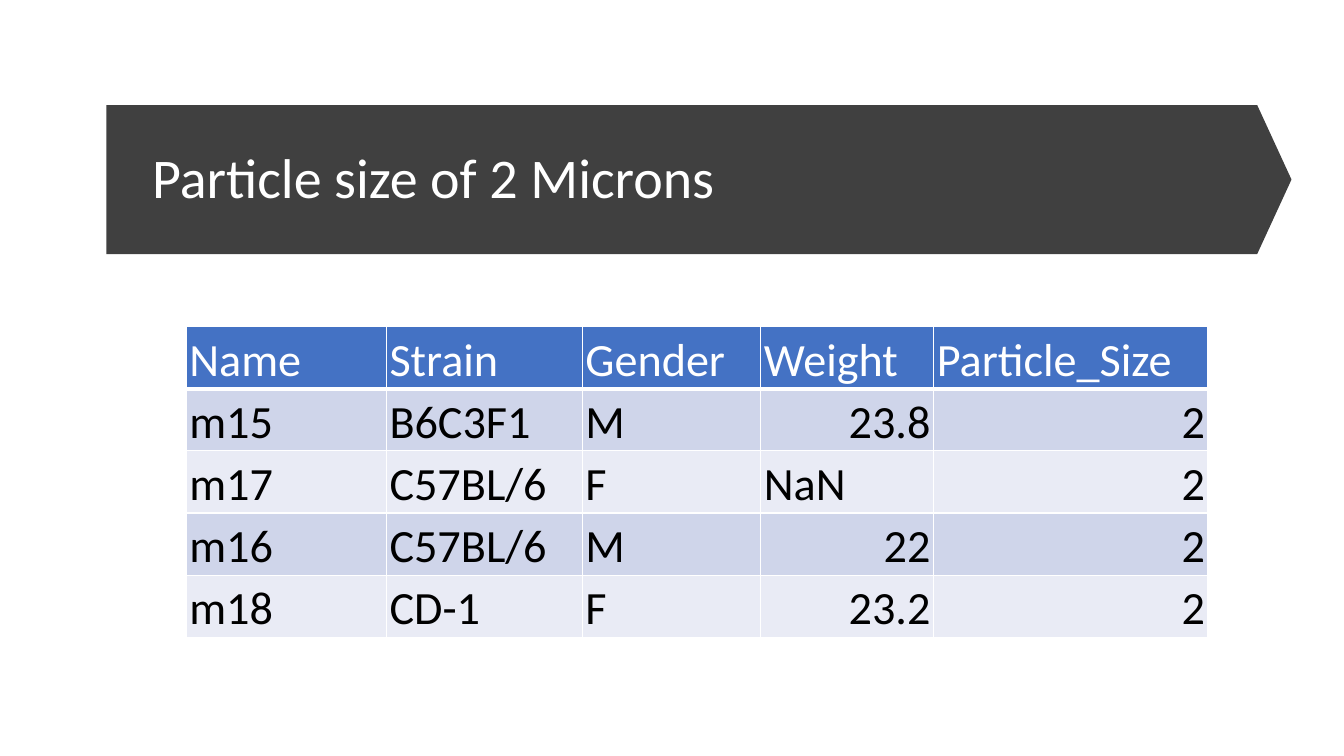
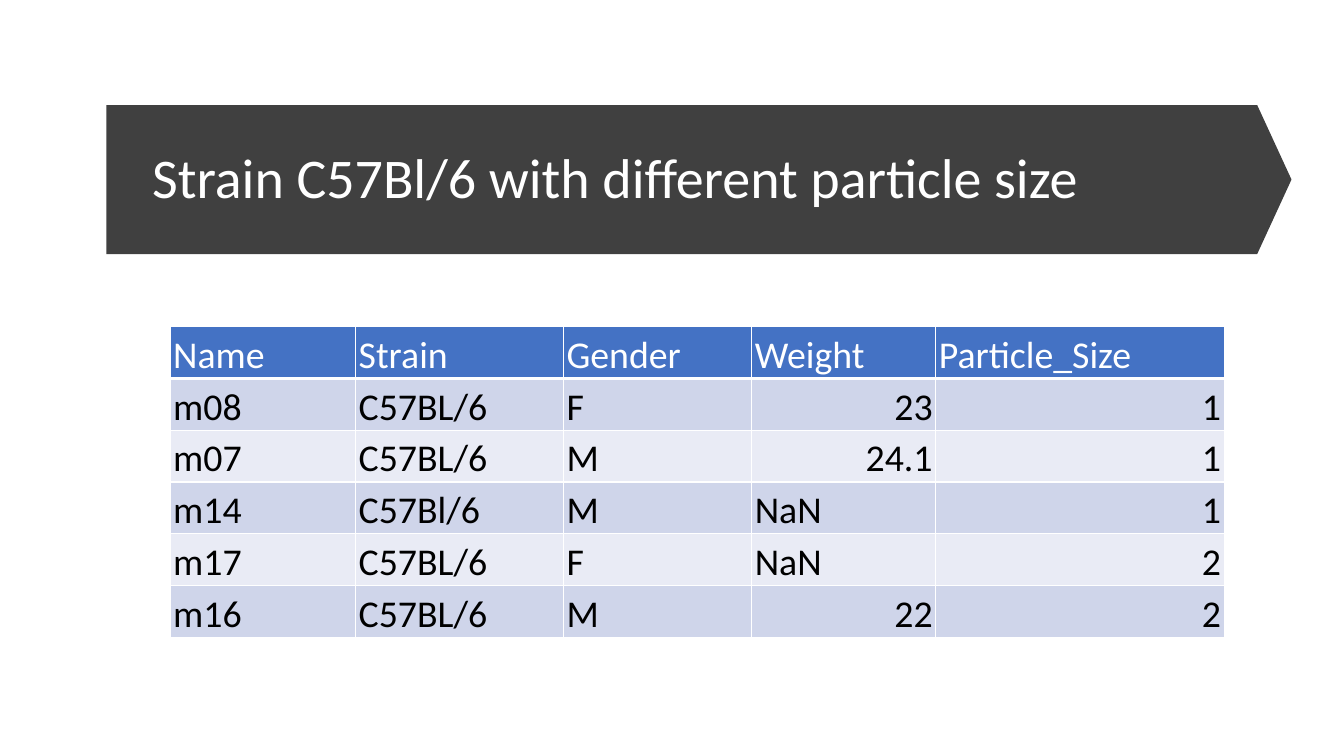
from dataclasses import dataclass

from lxml.etree import SubElement
from pptx import Presentation
from pptx.dml.color import RGBColor
from pptx.enum.shapes import MSO_SHAPE
from pptx.enum.text import MSO_ANCHOR, PP_ALIGN
from pptx.oxml.ns import qn
from pptx.util import Pt


@dataclass(frozen=True)
class Theme:
    font: str = "Calibri"
    dark: str = "404040"
    head: str = "4472C4"
    odd: str = "CFD5EA"
    even: str = "E9EBF5"
    white: str = "FFFFFF"
    black: str = "000000"
    title: int = 40
    large: int = 33
    small: int = 27


THEME = Theme()
BAND = (76, 75, 846.5, 106.5)
TITLE = (101.5, 95, 789, 67.5)
CENTER = 498
TOP = 233.25
HEIGHT = 222
HEADER = ("Name", "Strain", "Gender", "Weight", "Particle_Size")

SLIDES = (
    (
        "Particle size of 2 Microns",
        THEME.large,
        (143, 140, 127.5, 123.5, 196),
        (
            ("m15", "B6C3F1", "M", "23.8", "2"),
            ("m17", "C57BL/6", "F", "NaN", "2"),
            ("m16", "C57BL/6", "M", "22", "2"),
            ("m18", "CD-1", "F", "23.2", "2"),
        ),
    ),
    (
        "Strain C57Bl/6 with different particle size",
        THEME.small,
        (132.5, 148.5, 134.5, 131.5, 206),
        (
            ("m08", "C57BL/6", "F", "23", "1"),
            ("m07", "C57BL/6", "M", "24.1", "1"),
            ("m14", "C57Bl/6", "M", "NaN", "1"),
            ("m17", "C57BL/6", "F", "NaN", "2"),
            ("m16", "C57BL/6", "M", "22", "2"),
        ),
    ),
)


def paint(fill, color):
    fill.solid()
    fill.fore_color.rgb = RGBColor.from_string(color)


def style(para, size, color, align):
    para.alignment = align
    for run in para.runs:
        run.font.name = THEME.font
        run.font.size = Pt(size)
        run.font.bold = False
        run.font.color.rgb = RGBColor.from_string(color)


def add_band(slide):
    band = slide.shapes.add_shape(MSO_SHAPE.PENTAGON, *map(Pt, BAND))
    band.adjustments[0] = 0.23
    band.shadow.inherit = False
    paint(band.fill, THEME.dark)
    band.line.fill.background()
    slide.shapes.title.element.addprevious(band.element)


def set_title(slide, text):
    title = slide.shapes.title
    title.left, title.top, title.width, title.height = map(Pt, TITLE)
    frame = title.text_frame
    frame.text = text
    frame.word_wrap = True
    frame.vertical_anchor = MSO_ANCHOR.MIDDLE
    para = frame.paragraphs[0]
    para.line_spacing = 0.9
    style(para, THEME.title, THEME.white, PP_ALIGN.LEFT)


def set_edges(cell, base):
    props = cell._tc.get_or_add_tcPr()
    for side, width in (("L", 1), ("R", 1), ("T", 1), ("B", base)):
        line = SubElement(props, qn(f"a:ln{side}"), w=str(int(Pt(width))))
        fill = SubElement(line, qn("a:solidFill"))
        SubElement(fill, qn("a:srgbClr"), val=THEME.white)


def set_cell(cell, text, size, row):
    cell.margin_left = cell.margin_right = cell.margin_top = Pt(2.25)
    cell.margin_bottom = Pt(0)
    cell.vertical_anchor = MSO_ANCHOR.BOTTOM
    set_edges(cell, 1 if row else 3)
    if row:
        shade = THEME.odd if row % 2 else THEME.even
        color = THEME.black
    else:
        shade, color = THEME.head, THEME.white
    paint(cell.fill, shade)
    cell.text_frame.text = text
    align = PP_ALIGN.RIGHT if text[0].isdigit() else PP_ALIGN.LEFT
    style(cell.text_frame.paragraphs[0], size, color, align)


def add_grid(slide, size, widths, body):
    rows = (HEADER, *body)
    total = sum(widths)
    frame = slide.shapes.add_table(
        len(rows), len(widths),
        Pt(CENTER - total / 2), Pt(TOP), Pt(total), Pt(HEIGHT),
    )
    table = frame.table
    table.first_row = table.horz_banding = False
    for column, width in zip(table.columns, widths):
        column.width = Pt(width)
    for r, row in enumerate(rows):
        table.rows[r].height = Pt(HEIGHT / len(rows))
        for c, text in enumerate(row):
            set_cell(table.cell(r, c), text, size, r)


def main():
    deck = Presentation()
    deck.slide_width, deck.slide_height = Pt(960), Pt(540)
    for title, size, widths, body in SLIDES:
        slide = deck.slides.add_slide(deck.slide_layouts[5])
        add_band(slide)
        set_title(slide, title)
        add_grid(slide, size, widths, body)
    deck.save("out.pptx")


if __name__ == "__main__":
    main()
